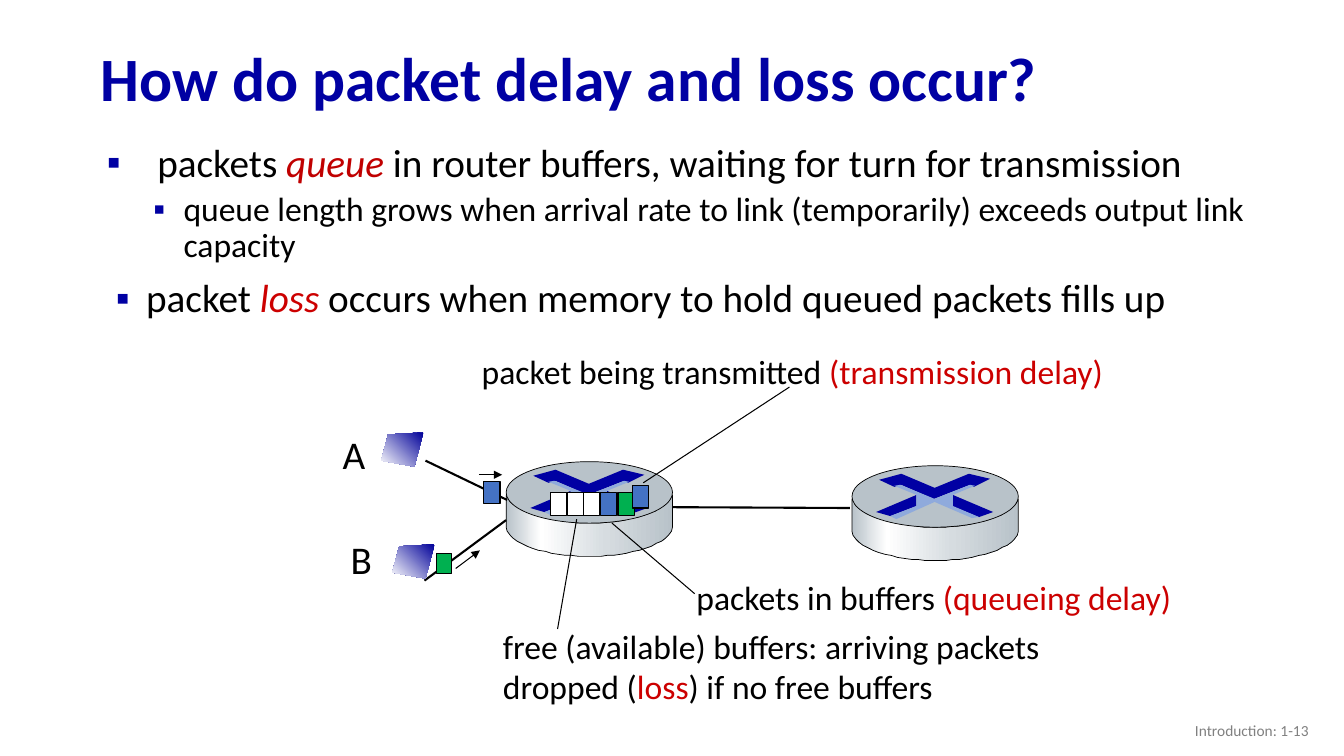
from pptx import Presentation
from pptx import util as u
from pptx.dml.color import RGBColor
from pptx.enum import shapes, text
from pptx.oxml.ns import qn
from lxml import etree

PX = 9144  # EMU per px, 100 px to the inch
FONT = "Calibri"
NAVY = RGBColor(0x00, 0x00, 0xA3)
DEEP_BLUE = RGBColor(0x00, 0x00, 0x99)
PALE_BLUE = RGBColor(0x8F, 0xAA, 0xDC)
BLUE = RGBColor(0x44, 0x72, 0xC4)
GREEN = RGBColor(0x00, 0xB0, 0x50)
RED = RGBColor(0xCC, 0x00, 0x00)
DARK_RED = RGBColor(0xC0, 0x00, 0x00)
STEEL = RGBColor(0xB8, 0xC2, 0xC9)
LIGHT_STEEL = RGBColor(0xD6, 0xDC, 0xE0)
GREY = RGBColor(0x80, 0x80, 0x80)
BLACK = RGBColor(0x00, 0x00, 0x00)
WHITE = RGBColor(0xFF, 0xFF, 0xFF)

METAL = [(0, STEEL), (21, WHITE), (60, LIGHT_STEEL), (100, STEEL)]
SCREEN = [(0, DEEP_BLUE), (100, WHITE)]

# Outlines, measured from the top left corner of their object
ARROW_TOP = [(116, 8), (137, 13), (121, 21), (117, 19), (81, 33),
             (49, 19), (42, 21), (27, 14), (49, 8), (82, 22)]
ARROW_RIGHT = [(100, 29), (140, 46), (126, 51), (99, 40)]
ARROW_LEFT = [(64, 29), (64, 40), (38, 50), (24, 46)]
ARROW_SHADE = [(42, 20), (48, 19), (82, 33), (117, 19), (122, 20), (100, 29), (100, 40),
               (126, 51), (119, 52), (82, 36), (44, 53), (38, 50), (64, 40), (64, 29)]
TERMINAL = [(42, 0), (7, 2), (0, 28), (33, 34)]


def curve(start, first, second, end, steps=16):
    """Points of a cubic curve, without its start."""
    points = []
    for step in range(1, steps + 1):
        t = step / steps
        weights = ((1 - t) ** 3, 3 * t * (1 - t) ** 2, 3 * t * t * (1 - t), t ** 3)
        points.append(tuple(sum(weight * point[axis] for weight, point
                                in zip(weights, (start, first, second, end)))
                            for axis in (0, 1)))
    return points


ROUTER_SIDE = ([(165, 33), (165, 65)]
               + curve((165, 65), (160, 87), (110, 94), (83, 94))
               + curve((83, 94), (55, 94), (4, 87), (0, 65))
               + [(0, 33)]
               + curve((0, 33), (7, 52), (54, 61), (82, 61))
               + curve((82, 61), (109, 61), (157, 54), (165, 33)))


def paint(shape, colour, line_width):
    shape.shadow.inherit = False
    if colour:
        shape.fill.solid()
        shape.fill.fore_color.rgb = colour
    if line_width:
        shape.line.color.rgb = BLACK
        shape.line.width = u.Pt(line_width)
    else:
        shape.line.fill.background()


def paint_gradient(shape, stops, angle):
    shape.fill.gradient()
    gradient = shape._element.spPr.find(qn("a:gradFill"))
    gradient.find(qn("a:lin")).set("ang", str(angle * 60000))
    stop_list = gradient.find(qn("a:gsLst"))
    for old_stop in list(stop_list):
        stop_list.remove(old_stop)
    for position, colour in stops:
        stop = etree.SubElement(stop_list, qn("a:gs"), pos=str(position * 1000))
        etree.SubElement(stop, qn("a:srgbClr"), val=str(colour))


def add_outline(page, left, top, points, colour=None, line_width=0):
    placed = [(left + x, top + y) for x, y in points]
    builder = page.shapes.build_freeform(*placed[0], scale=float(PX))
    builder.add_line_segments(placed[1:], close=True)
    shape = builder.convert_to_shape()
    paint(shape, colour, line_width)
    return shape


def add_preset(page, kind, left, top, width, height, colour, line_width):
    shape = page.shapes.add_shape(kind, left * PX, top * PX, width * PX, height * PX)
    paint(shape, colour, line_width)


def add_packet(page, left, top, colour, width=16, height=22):
    add_preset(page, shapes.MSO_SHAPE.RECTANGLE, left, top, width, height, colour, 0.75)


def add_router(page, left, top):
    side = add_outline(page, left, top, ROUTER_SIDE, line_width=0.5)
    paint_gradient(side, METAL, 0)
    add_preset(page, shapes.MSO_SHAPE.OVAL, left, top, 165, 61, STEEL, 0.5)
    for outline in (ARROW_TOP, ARROW_RIGHT, ARROW_LEFT):
        add_outline(page, left, top, outline, NAVY)
    add_outline(page, left, top, ARROW_SHADE, PALE_BLUE)


def add_terminal(page, left, top):
    paint_gradient(add_outline(page, left, top, TERMINAL), SCREEN, 135)


def add_line(page, x1, y1, x2, y2, width=0.75, arrow=False):
    line = page.shapes.add_connector(shapes.MSO_CONNECTOR.STRAIGHT,
                                     x1 * PX, y1 * PX, x2 * PX, y2 * PX)
    line.line.color.rgb = BLACK
    line.line.width = u.Pt(width)
    if arrow:
        etree.SubElement(line.line._get_or_add_ln(), qn("a:tailEnd"), type="triangle")
    etree.SubElement(line._element.spPr, qn("a:effectLst"))


def add_spans(para, spans, size):
    """Spans are (words, colour) pairs, or (words, colour, italic)."""
    for words, colour, *italic in spans:
        span = para.add_run()
        span.text = words
        span.font.name = FONT
        span.font.size = u.Pt(size)
        span.font.color.rgb = colour
        if italic:
            span.font.italic = italic[0]


def add_label(page, left, top, width, height, lines, size=24):
    box = page.shapes.add_textbox(left * PX, top * PX, width * PX, height * PX)
    frame = box.text_frame
    frame.word_wrap = False
    for index, spans in enumerate(lines):
        para = frame.add_paragraph() if index else frame.paragraphs[0]
        add_spans(para, spans, size)
    return frame


def place(shape, left, top, width, height):
    shape.left, shape.top = left * PX, top * PX
    shape.width, shape.height = width * PX, height * PX
    shape.text_frame.auto_size = text.MSO_AUTO_SIZE.NONE


def fill_title(title):
    place(title, 90, 32, 1150, 98)
    title.text_frame.vertical_anchor = text.MSO_ANCHOR.MIDDLE
    para = title.text_frame.paragraphs[0]
    para.alignment = text.PP_ALIGN.LEFT
    para.line_spacing = 0.9
    add_spans(para, [("How do packet delay and loss occur?", NAVY)], 44)
    para.runs[0].font.bold = True


def fill_body(body):
    place(body, 90, 137, 1218, 476)
    items = [
        (0, 56, 50, 0, 28, [
            ("packets ", BLACK), ("queue", DARK_RED, True),
            (" in router buffers, waiting for turn for transmission", BLACK)]),
        (1, 82, 30, 5, 24, [
            ("queue length grows when arrival rate to link (temporarily) "
             "exceeds output link capacity", BLACK)]),
        (0, 45, 30, 10, 28, [
            ("packet ", BLACK), ("loss ", RED, True),
            ("occurs when memory to hold queued packets fills up", BLACK)]),
    ]
    for index, (level, margin, hanging, before, size, spans) in enumerate(items):
        para = body.text_frame.add_paragraph() if index else body.text_frame.paragraphs[0]
        para.level = level
        props = para._p.get_or_add_pPr()
        props.set("marL", str(margin * PX))
        props.set("indent", str(-hanging * PX))
        colour = etree.SubElement(props, qn("a:buClr"))
        etree.SubElement(colour, qn("a:srgbClr"), val=str(NAVY))
        etree.SubElement(props, qn("a:buFont"), typeface="Arial")
        etree.SubElement(props, qn("a:buChar"), char="▪")
        para.line_spacing = 0.9
        para.space_before = u.Pt(before)
        add_spans(para, spans, size)


def draw_network(page):
    add_line(page, 632, 503, 843, 504, 1.5)
    add_router(page, 502, 458)
    add_router(page, 845, 462)
    add_line(page, 422, 457, 503, 496, 1.5)
    add_line(page, 421, 576, 502, 516, 1.5)
    add_terminal(page, 378, 429)
    add_terminal(page, 389, 540)
    for slot, colour in enumerate((WHITE, WHITE, WHITE, BLUE, GREEN)):
        add_packet(page, 546 + round(slot * 16.7), 489, colour)
    add_packet(page, 627, 482, BLUE)
    add_packet(page, 480, 478, BLUE)
    add_packet(page, 433, 549, GREEN, 15, 20)
    add_line(page, 475, 471, 498, 471, arrow=True)
    add_line(page, 452, 564, 476, 546, arrow=True)


def add_callouts(page):
    add_label(page, 330, 422, 43, 57, [[("A", BLACK)]], 28)
    add_label(page, 338, 526, 42, 57, [[("B", BLACK)]], 28)
    add_label(page, 468, 343, 643, 51,
              [[("packet being transmitted ", BLACK), ("(transmission delay)", RED)]])
    add_line(page, 783, 384, 638, 479)
    add_label(page, 681, 567, 496, 51,
              [[("packets in buffers ", BLACK), ("(queueing delay)", RED)]])
    add_line(page, 689, 589, 607, 519)
    add_label(page, 489, 616, 566, 91,
              [[("free (available) buffers: arriving packets", BLACK)],
               [("dropped (", BLACK), ("loss", RED), (") if no free buffers", BLACK)]])
    add_line(page, 553, 624, 572, 515)


def add_page_number(page):
    frame = add_label(page, 1008, 705, 300, 40, [[("Introduction: 1-13", GREY)]], 11)
    frame.word_wrap = True
    frame.vertical_anchor = text.MSO_ANCHOR.MIDDLE
    frame.paragraphs[0].alignment = text.PP_ALIGN.RIGHT


def main():
    deck = Presentation()
    deck.slide_width, deck.slide_height = 1333 * PX, 750 * PX
    page = deck.slides.add_slide(deck.slide_layouts[1])
    fill_title(page.shapes.title)
    fill_body(page.placeholders[1])
    draw_network(page)
    add_callouts(page)
    add_page_number(page)
    deck.save("out.pptx")


if __name__ == "__main__":
    main()
